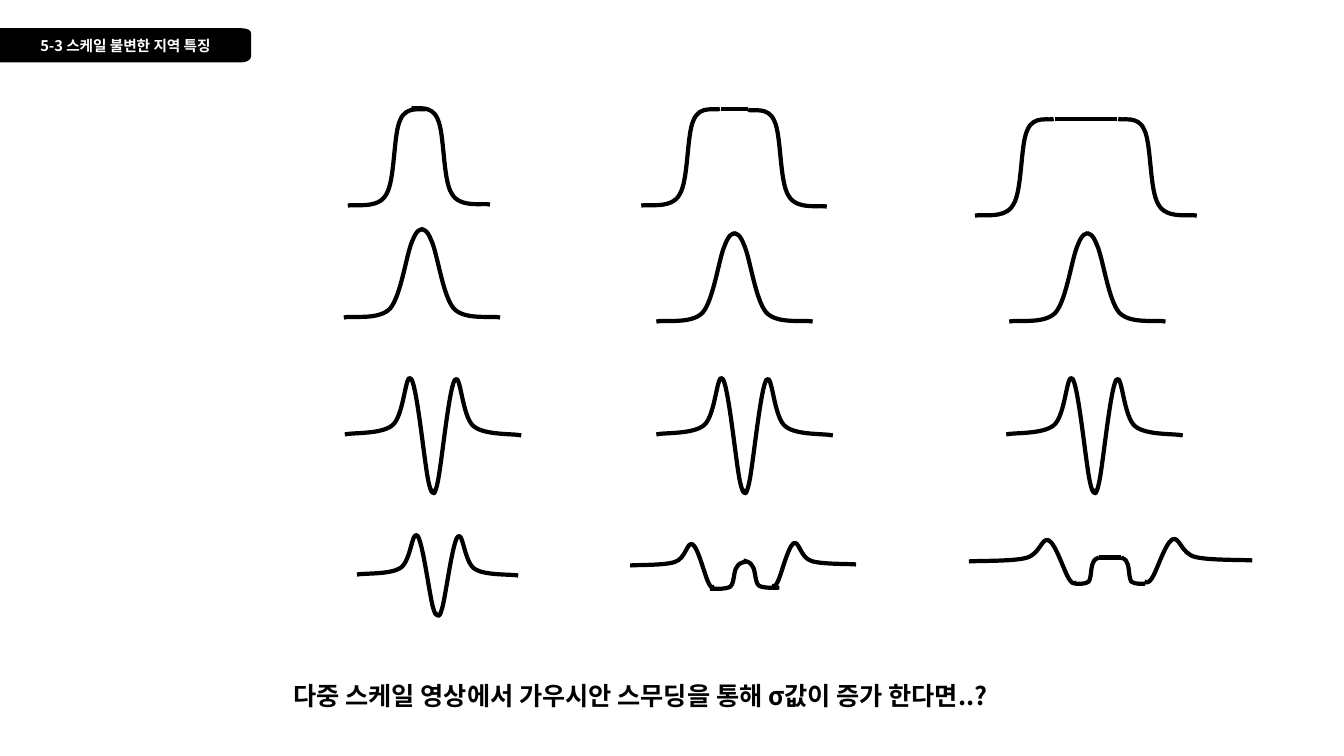
import pptx
import pptx.util
import pptx.dml.color
import pptx.enum.text
import pptx.enum.shapes
import pptx.oxml
import pptx.oxml.ns

BLACK = pptx.dml.color.RGBColor(0x00, 0x00, 0x00)
WHITE = pptx.dml.color.RGBColor(0xFF, 0xFF, 0xFF)
FONT = "Noto Sans CJK KR"
COLUMNS, ROWS = 133.3, 75  # grid cells are 0.1 inch square

# Half curves in grid cells from their outer foot: three points per Bezier step
PLATEAU = [(0.6, -0.2), (3, 0.4), (3.8, -1.1), (4.7, -2.5), (4.5, -7.1),
           (5.2, -8.5), (5.8, -10), (7.4, -9.4), (7.8, -9.6)]
BELL = [(0.8, -0.2), (3.5, 0.3), (4.6, -0.9), (5.7, -2.2), (6.2, -6.3),
        (6.8, -7.6), (7.3, -8.9), (7.6, -8.6), (7.8, -8.8)]
DIP = [(0.8, -0.2), (3.6, 0), (4.7, -0.9), (5.9, -1.8), (6, -6.4), (6.6, -5.5),
       (7.2, -4.5), (7.9, 2.9), (8.3, 4.7), (8.7, 6.5), (8.8, 5.4), (8.9, 5.5)]
BUMP = [(0.3, 0), (1.5, 0.1), (2, -0.2), (2.4, -0.6), (2.3, -1.7),
        (2.6, -2.1), (2.8, -2.6), (3.3, -2.6), (3.5, -2.7)]


def curves(points):
    return [points[i:i + 3] for i in range(0, len(points), 3)]


def pair(half, left, right, y_left, y_right, x_scale=1, y_scale=1):
    """A half curve and its mirror image, as (half, x, y, x scale, y scale)."""
    return [(half, left, y_left, x_scale, y_scale),
            (half, right, y_right, -x_scale, y_scale)]


class SlideBuilder:
    def __init__(self, prs):
        self.s = prs.slides.add_slide(prs.slide_layouts[6])
        self.cell_w = prs.slide_width / COLUMNS
        self.cell_h = prs.slide_height / ROWS
        self.line_width = pptx.util.Pt(3)

    def x(self, columns):
        return round(columns * self.cell_w)

    def y(self, rows):
        return round(rows * self.cell_h)

    def apply(self, target, values):
        for name, value in values.items():
            setattr(target, name, value)

    def outline(self, shapes, start, steps, close=False):
        """Steps of one point are straight, steps of three points are Beziers."""
        builder = shapes.build_freeform(self.x(start[0]), self.y(start[1]))
        builder.add_line_segments(
            [(self.x(px), self.y(py)) for step in steps for px, py in step], close)
        sp = builder.convert_to_shape()
        sp.shadow.inherit = False
        contour = sp._element.find(".//" + pptx.oxml.ns.qn("a:path"))
        segments = iter(contour.findall(pptx.oxml.ns.qn("a:lnTo")))
        for step in steps:
            parts = [next(segments) for _ in step]
            if len(parts) == 3:
                bezier = contour.makeelement(pptx.oxml.ns.qn("a:cubicBezTo"), {})
                parts[0].addprevious(bezier)
                for part in parts:
                    bezier.append(part[0])
                    contour.remove(part)
        return sp

    def stroke(self, line):
        line.color.rgb = BLACK
        line.width = self.line_width

    def signal(self, halves):
        group = self.s.shapes.add_group_shape()
        for half, x, y, x_scale, y_scale in halves:
            points = [(x + dx * x_scale, y + dy * y_scale) for dx, dy in half]
            sp = self.outline(group.shapes, (x, y), curves(points))
            sp.fill.background()
            self.stroke(sp.line)

    def flat_top(self, x1, x2, y):
        connector = self.s.shapes.add_connector(
            pptx.enum.shapes.MSO_CONNECTOR.STRAIGHT,
            self.x(x1), self.y(y), self.x(x2), self.y(y))
        self.stroke(connector.line)
        connector._element.spPr.append(pptx.oxml.parse_xml(
            "<a:effectLst %s/>" % pptx.oxml.ns.nsdecls("a")))

    def add_text(self, tf, text, size, color, align):
        p = tf.paragraphs[0]
        p.alignment = align
        r = p.add_run()
        r.text = text
        self.apply(r.font, {"name": FONT, "size": pptx.util.Pt(size), "bold": True})
        r.font.color.rgb = color
        latin = r._r.find(".//" + pptx.oxml.ns.qn("a:latin"))
        latin.addnext(latin.makeelement(pptx.oxml.ns.qn("a:ea"), {"typeface": FONT}))

    def tab(self, text, top, bottom, right):
        steps = [[(right - 1, top)],
                 [(right - 0.4, top), (right, top + 0.2), (right, top + 0.5)],
                 [(right, bottom - 0.6)],
                 [(right, bottom - 0.3), (right - 0.4, bottom), (right - 1, bottom)],
                 [(0, bottom)]]
        sp = self.outline(self.s.shapes, (0, top), steps, close=True)
        sp.fill.solid()
        sp.fill.fore_color.rgb = BLACK
        sp.line.fill.background()
        self.apply(sp.text_frame, {
            "word_wrap": True, "margin_top": 0, "margin_bottom": 0,
            "vertical_anchor": pptx.enum.text.MSO_ANCHOR.MIDDLE})
        self.add_text(sp.text_frame, text, 10.5, WHITE, pptx.enum.text.PP_ALIGN.CENTER)

    def caption(self, text, left, top, width, height):
        box = self.s.shapes.add_textbox(
            self.x(left), self.y(top), self.x(width), self.y(height))
        self.apply(box.text_frame, {
            "word_wrap": True,
            "auto_size": pptx.enum.text.MSO_AUTO_SIZE.SHAPE_TO_FIT_TEXT})
        self.add_text(box.text_frame, text, 18, BLACK, pptx.enum.text.PP_ALIGN.LEFT)


def main():
    prs = pptx.Presentation()
    prs.slide_width = pptx.util.Inches(13.33)
    prs.slide_height = pptx.util.Inches(7.5)
    slide = SlideBuilder(prs)

    # Section tab
    slide.tab("5-3 스케일 불변한 지역 특징", 2.8, 6.2, 24.9)

    # Input signals of growing width
    for feet in [(34.5, 48.6, 20.4, 20.3), (63.6, 82, 20.4, 20.5),
                 (96.7, 118.7, 21.4, 21.4)]:
        slide.signal(pair(PLATEAU, *feet))
    slide.flat_top(71.5, 74.2, 10.8)
    slide.flat_top(104.6, 110.8, 11.8)

    # Gaussians
    for left, y in [(34.1, 31.5), (65.1, 31.9), (100.1, 31.9)]:
        slide.signal(pair(BELL, left, left + 15.5, y, y))

    # Second derivatives
    for left in (34.2, 65.1, 99.8):
        slide.signal(pair(DIP, left, left + 17.5, 43.1, 43.2))

    # Filter responses
    slide.signal(pair(DIP, 35.4, 51.4, 57, 57.1, 0.91, 0.7))
    slide.signal(pair(DIP, 62.5, 84.9, 56.1, 56, 0.94, 0.38)
                 + pair(BUMP, 70.4, 77.3, 58.4, 58.3, 1.02))
    slide.signal(pair(DIP, 96.1, 124.2, 55.7, 55.6, 1.2, 0.38)
                 + pair(BUMP, 106.6, 113.6, 57.9, 57.9, 0.69, 0.96))
    slide.flat_top(109, 111.2, 55.3)

    # Closing question
    slide.caption("다중 스케일 영상에서 가우시안 스무딩을 통해 σ값이 증가 한다면..?",
                  28.1, 67, 100.9, 4)

    prs.save("out.pptx")


if __name__ == "__main__":
    main()
